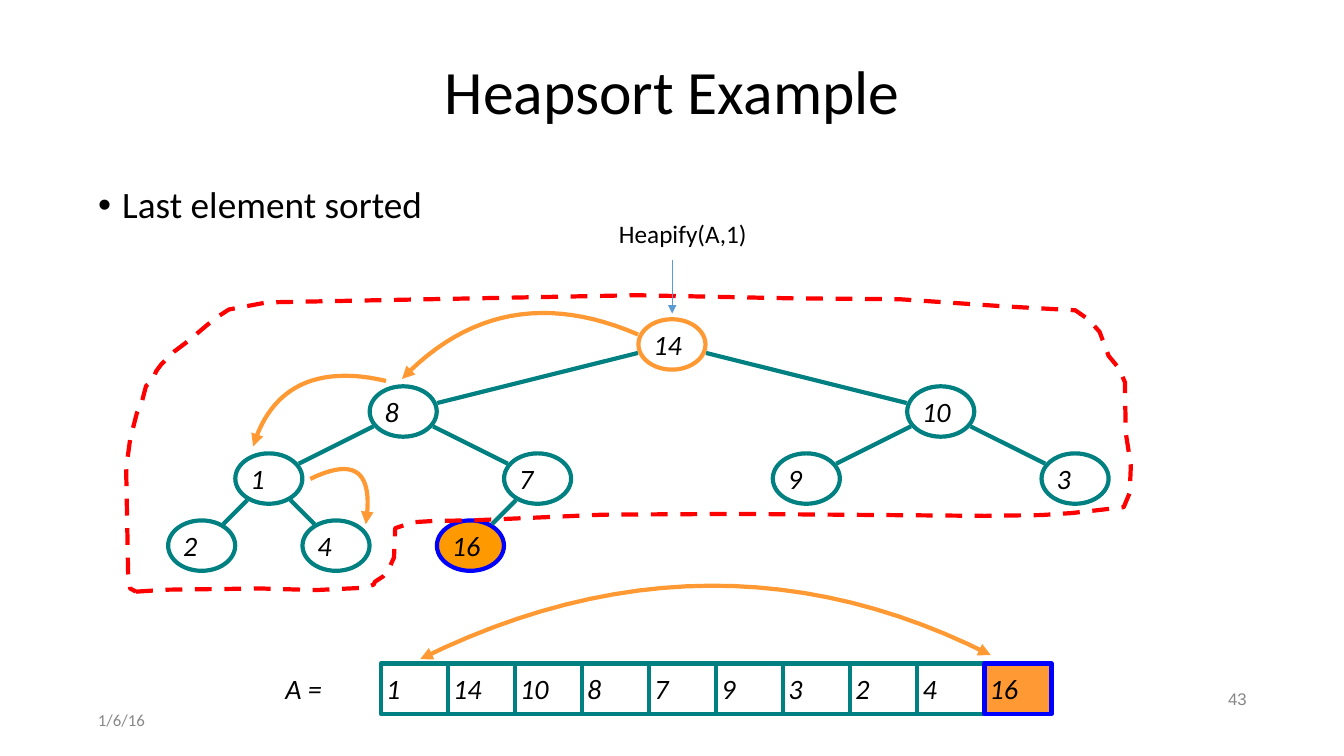
from math import hypot

from lxml import etree
from pptx import Presentation
from pptx.dml.color import RGBColor
from pptx.enum.dml import MSO_LINE
from pptx.enum.shapes import MSO_CONNECTOR, MSO_SHAPE
from pptx.enum.text import MSO_ANCHOR, MSO_AUTO_SIZE, PP_ALIGN
from pptx.oxml.ns import qn
from pptx.util import Cm, Pt

STRAIGHT = MSO_CONNECTOR.STRAIGHT
OVAL, RECTANGLE = MSO_SHAPE.OVAL, MSO_SHAPE.RECTANGLE
DASH = MSO_LINE.DASH
TOP, MIDDLE = MSO_ANCHOR.TOP, MSO_ANCHOR.MIDDLE
LEFT, CENTER, RIGHT = PP_ALIGN.LEFT, PP_ALIGN.CENTER, PP_ALIGN.RIGHT
FIXED = MSO_AUTO_SIZE.NONE

BLACK = RGBColor(0x00, 0x00, 0x00)
WHITE = RGBColor(0xFF, 0xFF, 0xFF)
GRAY = RGBColor(0x88, 0x88, 0x88)
TEAL = RGBColor(0x00, 0x80, 0x80)
ORANGE = RGBColor(0xFF, 0x99, 0x33)
AMBER = RGBColor(0xFF, 0x99, 0x00)
BLUE = RGBColor(0x00, 0x00, 0xFF)
SKY = RGBColor(0x5B, 0x9B, 0xD5)
RED = RGBColor(0xFF, 0x00, 0x00)

# All lengths below are in centimetres
NODE_WIDTH, NODE_HEIGHT = 1.69, 1.27
TREE_LEFT, TREE_WIDTH = 3.39, 27.09
ROOT_Y, LEVEL_STEP = 8.68, 1.69
EDGE_GAP = 1.07
ARRAY_LEFT, ARRAY_TOP, CELL_STEP = 9.6, 16.72, 1.69
CURVE_STEPS = 24

HEAP = [14, 8, 10, 1, 7, 9, 3, 2, 4, 16]
ARRAY = [1, 14, 10, 8, 7, 9, 3, 2, 4, 16]

HEAP_OUTLINE = [
    (3.43, 14.91), (4.19, 14.86), (6.58, 14.83), (7.95, 14.87), (9.22, 14.81),
    (9.42, 14.73), (9.45, 14.66), (9.65, 14.53), (9.78, 14.38), (9.93, 14.05),
    (9.96, 13.31), (10.41, 13.16), (10.9, 13.13), (11.99, 13.11),
    (15.19, 12.97), (18.59, 12.95), (24.82, 13), (26.24, 12.98), (27, 12.93),
    (27.46, 12.88), (28.32, 12.78), (28.47, 12.42), (28.5, 11.73),
    (28.37, 10.9), (28.35, 9.63), (28.19, 9.27), (27.94, 8.97), (27.71, 8.36),
    (27.43, 8.05), (27.1, 7.82), (25.3, 7.72), (22.66, 7.54), (20.02, 7.52),
    (16.05, 7.44), (6.73, 7.62), (5.77, 7.8), (5.46, 8), (5.21, 8.2),
    (4.75, 8.59), (4.39, 8.86), (4.06, 9.19), (3.94, 9.35), (3.84, 9.58),
    (3.68, 9.73), (3.56, 10.19), (3.45, 10.41), (3.28, 11.07), (3.18, 11.81),
    (3.23, 14.45), (3.28, 14.83),
]

# Start, two control points and end of each curved arrow
SWAP_CURVE = [(24.97, 16.51), (20.32, 14.15), (15.52, 14.17), (10.59, 16.61)]
SIFT_CURVES = [
    [(16.08, 8.43), (13.79, 7.44), (11.81, 7.8), (10.13, 9.55)],
    [(9.73, 9.6), (7.98, 9.19), (6.83, 9.75), (6.38, 11.25)],
    [(7.82, 12.07), (8.97, 11.51), (9.42, 11.89), (9.22, 13.21)],
]


def write(shape, text, size=20, color=BLACK, font="Calibri", italic=False,
          align=LEFT, anchor=MIDDLE, inset_y=0.13, wrap=True, spacing=1.0):
    frame = shape.text_frame
    frame.auto_size = FIXED
    frame.word_wrap = wrap
    frame.vertical_anchor = anchor
    frame.margin_left = frame.margin_right = Cm(0.13)
    frame.margin_top = frame.margin_bottom = Cm(inset_y)
    para = frame.paragraphs[0]
    para.alignment = align
    para.line_spacing = spacing
    para.space_before = Pt(0)
    span = para.add_run()
    span.text = text
    span.font.name = font
    span.font.size = Pt(size)
    span.font.italic = italic
    span.font.color.rgb = color
    return para


def place(shape, left, top, width, height):
    shape.left, shape.top = Cm(left), Cm(top)
    shape.width, shape.height = Cm(width), Cm(height)


def add_label(page, text, left, top, width, height, **style):
    box = page.shapes.add_textbox(Cm(left), Cm(top), Cm(width), Cm(height))
    write(box, text, **style)


def style_line(shape, color, width=3, dash=None, ends=()):
    shape.line.color.rgb = color
    shape.line.width = Pt(width)
    if dash:
        shape.line.dash_style = dash
    for end in ends:
        etree.SubElement(shape.line._ln, qn(f"a:{end}"), type="triangle")


def add_value(page, kind, value, left, top, fill, line):
    shape = page.shapes.add_shape(
        kind, Cm(left), Cm(top), Cm(NODE_WIDTH), Cm(NODE_HEIGHT))
    shape.shadow.inherit = False
    shape.fill.solid()
    shape.fill.fore_color.rgb = fill
    style_line(shape, line)
    write(shape, str(value), italic=True, inset_y=0)


def add_line(page, start, end, color, **style):
    line = page.shapes.add_connector(
        STRAIGHT, *(Cm(value) for value in (*start, *end)))
    style_line(line, color, **style)
    etree.SubElement(line._element.spPr, qn("a:effectLst"))


def add_path(page, points, color, close=False, **style):
    corners = [(Cm(x), Cm(y)) for x, y in points]
    builder = page.shapes.build_freeform(*corners[0])
    builder.add_line_segments(corners[1:], close=close)
    path = builder.convert_to_shape()
    path.shadow.inherit = False
    path.fill.background()
    style_line(path, color, **style)


def curve_points(controls):
    points = []
    for step in range(CURVE_STEPS + 1):
        t = step / CURVE_STEPS
        weights = ((1 - t) ** 3, 3 * t * (1 - t) ** 2, 3 * t * t * (1 - t), t ** 3)
        points.append(tuple(sum(weight * value for weight, value in zip(weights, axis))
                            for axis in zip(*controls)))
    return points


def node_center(number):
    """Centre of a heap node, numbered from 1."""
    level = number.bit_length() - 1
    count = 2 ** level
    return (TREE_LEFT + TREE_WIDTH * (number - count + 0.5) / count,
            ROOT_Y + LEVEL_STEP * level)


def add_tree(page):
    for number, value in enumerate(HEAP, 1):
        x, y = node_center(number)
        line = ORANGE if number == 1 else TEAL
        fill = WHITE
        if number == len(HEAP):
            fill, line = AMBER, BLUE
        add_value(page, OVAL, value, x - NODE_WIDTH / 2, y - NODE_HEIGHT / 2, fill, line)
    # Each edge runs between the rims of parent and child
    for number in range(2, len(HEAP) + 1):
        (x1, y1), (x2, y2) = node_center(number // 2), node_center(number)
        dx, dy = x2 - x1, y2 - y1
        rim = EDGE_GAP / hypot(2 * dx / NODE_WIDTH, 2 * dy / NODE_HEIGHT)
        add_line(page, (x1 + dx * rim, y1 + dy * rim), (x2 - dx * rim, y2 - dy * rim), TEAL)


def add_array(page):
    for index, value in enumerate(ARRAY):
        fill, line = (ORANGE, BLUE) if index == len(ARRAY) - 1 else (WHITE, TEAL)
        add_value(page, RECTANGLE, value, ARRAY_LEFT + index * CELL_STEP, ARRAY_TOP, fill, line)
    add_label(page, "A =", 7.06, 16.81, 1.22, 1.09, italic=True, wrap=False)


def add_headings(page):
    title, body = page.shapes.title, page.placeholders[1]
    place(title, 2.34, 1.02, 29.21, 2.72)
    write(title, "Heapsort Example", size=44, align=CENTER, spacing=0.9)
    place(body, 2.34, 4.57, 9.65, 1.37)
    para = write(body, "Last element sorted", size=26.6, anchor=TOP, spacing=0.9)
    properties = para._p.get_or_add_pPr()
    properties.set("marL", str(Cm(0.61)))
    properties.set("indent", str(Cm(-0.61)))


def main():
    deck = Presentation()
    deck.slide_width, deck.slide_height = Cm(33.87), Cm(19.05)
    page = deck.slides.add_slide(deck.slide_layouts[1])

    # Date, page number and headings
    add_label(page, "1/6/16", 2.34, 17.78, 7.62, 0.74, size=12, color=GRAY)
    add_label(page, "43", 23.93, 17.27, 7.62, 0.74, size=12, color=GRAY,
              font="Arial", align=RIGHT, spacing=0.9)
    add_headings(page)

    # Heap tree, its boundary and the array
    add_tree(page)
    add_path(page, HEAP_OUTLINE, RED, close=True, dash=DASH)
    add_array(page)

    # Call label and arrows
    add_label(page, "Heapify(A,1)", 15.47, 5.38, 3.51, 1.04, size=18,
              anchor=TOP, wrap=False)
    add_line(page, (16.94, 6.55), (16.94, 7.9), SKY, width=1, ends=["tailEnd"])
    add_path(page, curve_points(SWAP_CURVE), ORANGE, ends=["headEnd", "tailEnd"])
    for curve in SIFT_CURVES:
        add_path(page, curve_points(curve), ORANGE, ends=["tailEnd"])

    deck.save("out.pptx")


if __name__ == "__main__":
    main()
